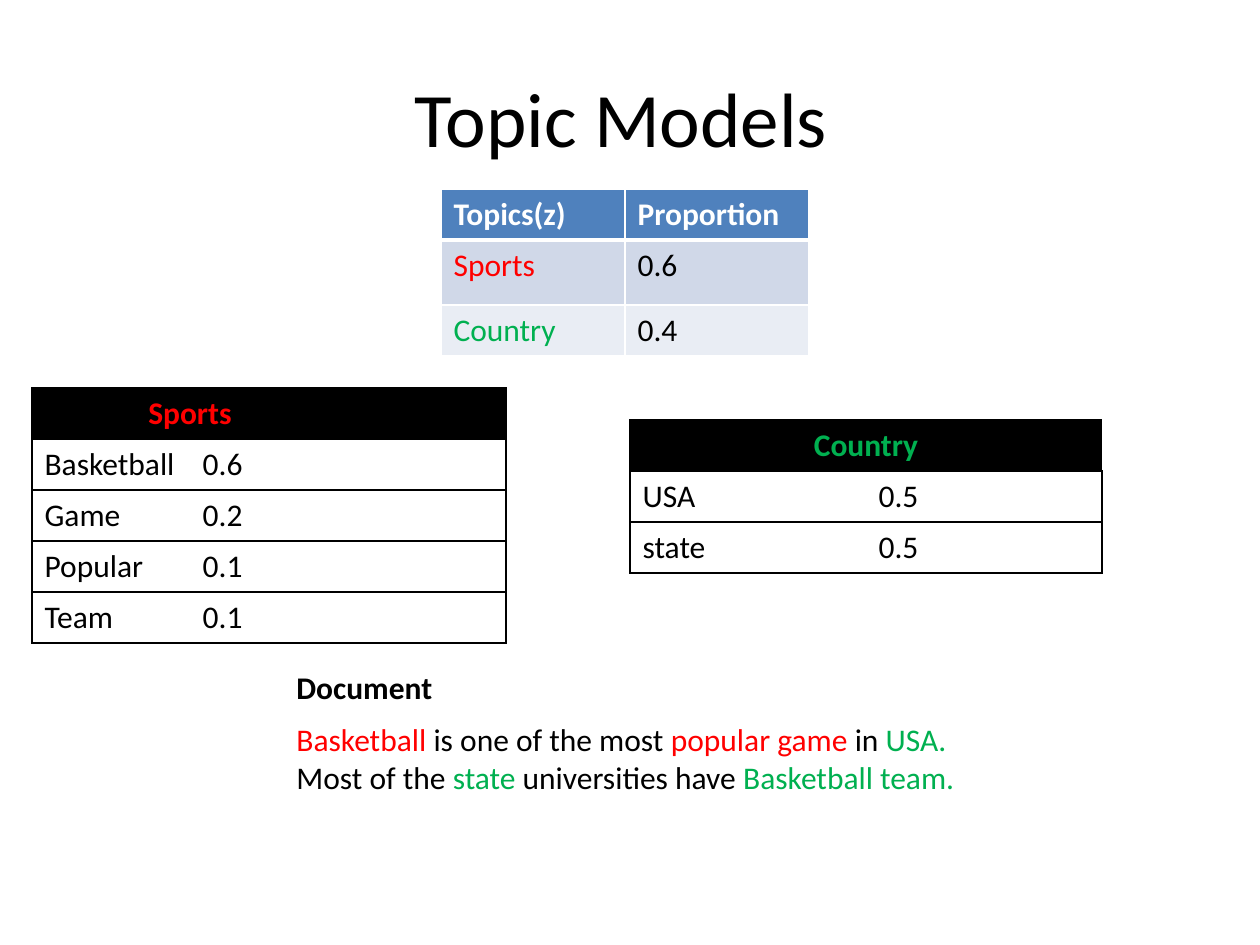
from dataclasses import dataclass

import lxml.etree
import pptx
import pptx.dml.color
import pptx.enum.text
import pptx.oxml.ns
import pptx.util

PX_PER_INCH = 126
FONT = "Calibri"
BODY_SIZE = 18
ROW_HEIGHT = 51
COLORS = {
    "black": "000000",
    "white": "FFFFFF",
    "sports": "FF0000",
    "country": "00B050",
    "header": "4F81BD",
    "band_dark": "D0D8E8",
    "band_light": "E9EDF4",
}
CENTER = pptx.enum.text.PP_ALIGN.CENTER
MIDDLE = pptx.enum.text.MSO_ANCHOR.MIDDLE


@dataclass(frozen=True)
class Run:
    text: str
    color: str = "black"
    bold: bool = False
    size: int = BODY_SIZE


@dataclass(frozen=True)
class WordTable:
    """Word probabilities of one topic, under a merged header."""
    left: int
    top: int
    column_width: int
    columns: int
    topic: Run
    words: list[tuple[str, str]]


def px(length: int) -> int:
    return pptx.util.Emu(round(length * pptx.util.Inches(1) / PX_PER_INCH))


def rgb(color: str) -> pptx.dml.color.RGBColor:
    return pptx.dml.color.RGBColor.from_string(COLORS[color])


def add_runs(paragraph, runs: list[Run]) -> None:
    for part in runs:
        run = paragraph.add_run()
        run.text = part.text
        run.font.name = FONT
        run.font.size = pptx.util.Pt(part.size)
        run.font.bold = part.bold
        run.font.color.rgb = rgb(part.color)


def add_text(slide, box: tuple[int, int, int, int], lines: list[list[Run]],
             wrap: bool = True):
    frame = slide.shapes.add_textbox(*map(px, box)).text_frame
    frame.word_wrap = wrap
    for index, runs in enumerate(lines):
        paragraph = frame.paragraphs[0] if index == 0 else frame.add_paragraph()
        add_runs(paragraph, runs)
    return frame


def set_borders(cell, color: str, widths: dict[str, float]) -> None:
    """Draw the sides given in points; leave the other sides unlined."""
    properties = cell._tc.get_or_add_tcPr()
    qn = pptx.oxml.ns.qn
    for index, side in enumerate("LRTB"):
        line = lxml.etree.Element(qn(f"a:ln{side}"))
        if side in widths:
            line.set("w", str(pptx.util.Pt(widths[side])))
            fill = lxml.etree.SubElement(line, qn("a:solidFill"))
            lxml.etree.SubElement(fill, qn("a:srgbClr"), val=COLORS[color])
        else:
            line.set("w", "0")
            lxml.etree.SubElement(line, qn("a:noFill"))
        properties.insert(index, line)


def add_grid(slide, left: int, top: int, column_widths: list[int],
             row_heights: list[int]):
    table = slide.shapes.add_table(
        len(row_heights), len(column_widths), px(left), px(top),
        px(sum(column_widths)), px(sum(row_heights))).table
    for column, width in zip(table.columns, column_widths):
        column.width = px(width)
    for row, height in zip(table.rows, row_heights):
        row.height = px(height)
    return table


def add_topic_table(slide, rows: list[list[Run]], fills: list[str]) -> None:
    table = add_grid(slide, 441, 189, [184, 184], [ROW_HEIGHT, 65, ROW_HEIGHT])
    for r, (runs, fill) in enumerate(zip(rows, fills)):
        for c, run in enumerate(runs):
            cell = table.cell(r, c)
            add_runs(cell.text_frame.paragraphs[0], [run])
            cell.fill.solid()
            cell.fill.fore_color.rgb = rgb(fill)
            set_borders(cell, "white", {
                "L": 1, "R": 1, "T": 3 if r == 1 else 1, "B": 3 if r == 0 else 1})


def add_word_table(slide, spec_table: WordTable) -> None:
    row_count = len(spec_table.words) + 1
    table = add_grid(slide, spec_table.left, spec_table.top,
                     [spec_table.column_width] * spec_table.columns,
                     [ROW_HEIGHT] * row_count)
    # Fills and borders: lines between rows and around the outside
    for r in range(row_count):
        for c in range(spec_table.columns):
            cell = table.cell(r, c)
            if r == 0:
                cell.fill.solid()
                cell.fill.fore_color.rgb = rgb("black")
            else:
                cell.fill.background()
            sides = "TB" + "L" * (c == 0) + "R" * (c == spec_table.columns - 1)
            set_borders(cell, "black", {side: 0.75 for side in sides})
    # Topic heading across the word and probability columns
    table.cell(0, 0).merge(table.cell(0, 1))
    heading = table.cell(0, 0).text_frame.paragraphs[0]
    heading.alignment = CENTER
    add_runs(heading, [spec_table.topic])
    for r, pair in enumerate(spec_table.words, start=1):
        for c, text in enumerate(pair):
            add_runs(table.cell(r, c).text_frame.paragraphs[0], [Run(text)])


def main() -> None:
    presentation = pptx.Presentation()
    presentation.slide_width = px(1260)
    presentation.slide_height = px(945)
    slide = presentation.slides.add_slide(presentation.slide_layouts[6])

    # Title
    title = add_text(slide, (63, 38, 1134, 158), [[Run("Topic Models ", size=44)]])
    title.vertical_anchor = MIDDLE
    title.paragraphs[0].alignment = CENTER

    # Words of each topic
    add_word_table(slide, WordTable(
        32, 388, 158, 3, Run("Sports", "sports", True),
        [("Basketball", "0.6"), ("Game", "0.2"), ("Popular", "0.1"), ("Team", "0.1")]))
    add_word_table(slide, WordTable(
        630, 420, 236, 2, Run("Country", "country", True),
        [("USA", "0.5"), ("state", "0.5")]))

    # Topic proportions
    add_topic_table(slide, [
        [Run("Topics(z)", "white", True), Run("Proportion", "white", True)],
        [Run("Sports", "sports"), Run("0.6")],
        [Run("Country", "country"), Run("0.4")],
    ], ["header", "band_dark", "band_light"])

    # Document with its words coloured by topic
    add_text(slide, (284, 714, 713, 89), [
        [Run("Basketball", "sports"), Run(" is one of the most "),
         Run("popular game", "sports"), Run(" in "), Run("USA.", "country")],
        [Run("Most of the "), Run("state", "country"),
         Run(" universities have "), Run("Basketball team.", "country")],
    ], wrap=False)
    add_text(slide, (284, 662, 231, 50), [[Run("Document", bold=True)]])

    presentation.save("out.pptx")


if __name__ == "__main__":
    main()
